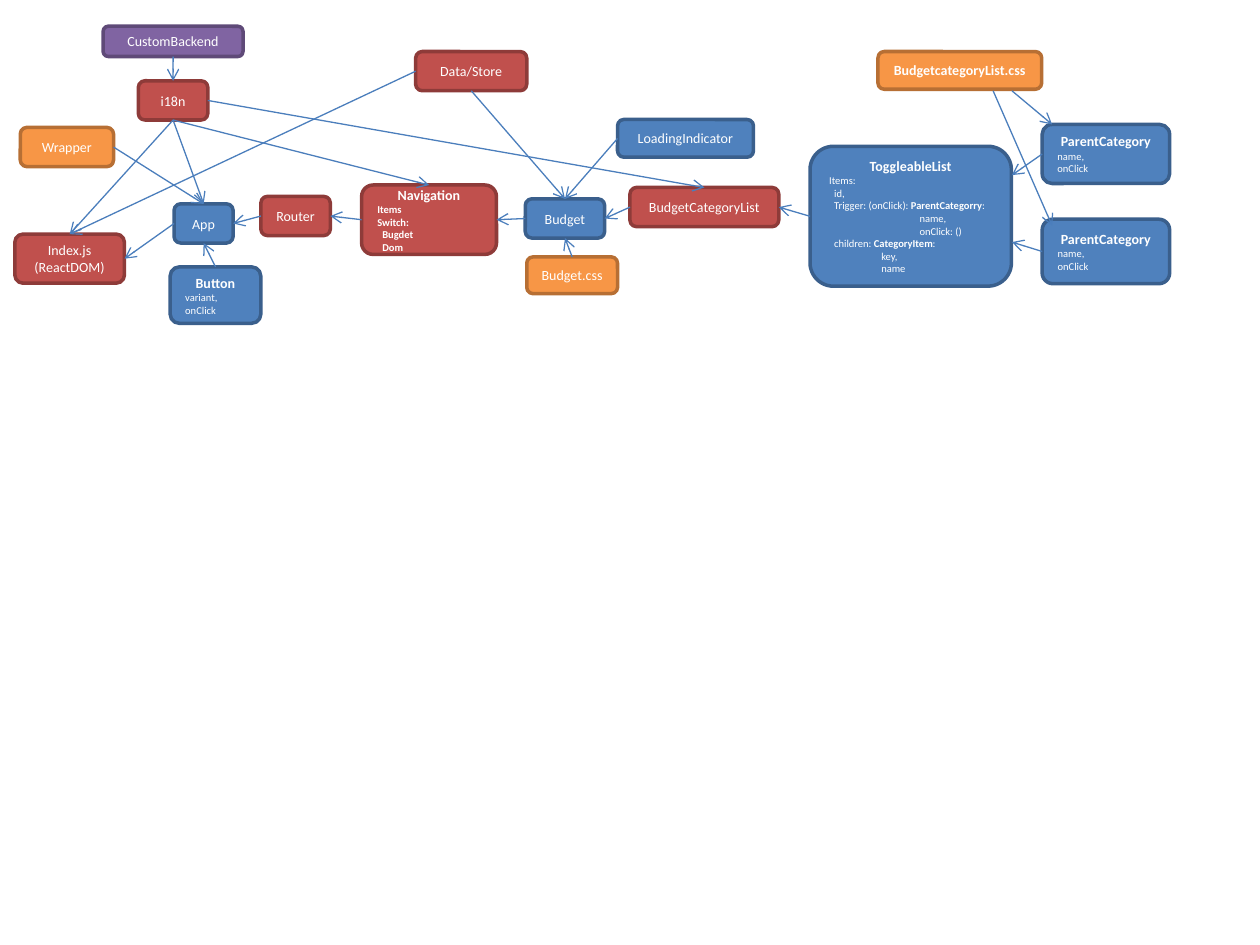
from lxml.etree import SubElement
from pptx import Presentation
from pptx.dml.color import RGBColor
from pptx.enum.shapes import MSO_CONNECTOR as Connector, MSO_SHAPE as Shape
from pptx.enum.text import MSO_ANCHOR as Anchor, PP_ALIGN as Align
from pptx.oxml.ns import qn
from pptx.util import Cm, Pt

WHITE = RGBColor(0xFF, 0xFF, 0xFF)
ARROW = RGBColor(0x4B, 0x7E, 0xBC)
# Each scheme is a fill and its outline
BLUE = RGBColor(0x4F, 0x81, 0xBD), RGBColor(0x3A, 0x5F, 0x8C)
RED = RGBColor(0xC0, 0x50, 0x4D), RGBColor(0x8E, 0x3B, 0x39)
ORANGE = RGBColor(0xF7, 0x96, 0x46), RGBColor(0xB7, 0x6F, 0x34)
PURPLE = RGBColor(0x80, 0x64, 0xA2), RGBColor(0x5F, 0x4A, 0x78)

TOP, LEFT, BOTTOM, RIGHT = range(4)

# Indents of the detail lines, in cm
STEP, CHILD, TRIGGER = 0.1, 1.05, 1.82

# Name: scheme, (left, top, width, height) in cm, title
PLAIN_BOXES = {
    "budget": (BLUE, (10.59, 4.01, 1.6, 0.79), "Budget"),
    "category list": (RED, (12.7, 3.78, 3, 0.79), "BudgetCategoryList"),
    "loading": (BLUE, (12.45, 2.41, 2.74, 0.76), "LoadingIndicator"),
    "list css": (ORANGE, (17.7, 1.04, 3.3, 0.76), "**BudgetcategoryList.css**"),
    "budget css": (ORANGE, (10.62, 5.18, 1.83, 0.74), "Budget.css"),
    "index": (RED, (0.3, 4.72, 2.21, 0.99), "Index.js\n(ReactDOM)"),
    "app": (BLUE, (3.51, 4.11, 1.19, 0.79), "App"),
    "router": (RED, (5.26, 3.96, 1.4, 0.79), "Router"),
    "wrapper": (ORANGE, (0.41, 2.57, 1.88, 0.79), "Wrapper"),
    "i18n": (RED, (2.79, 1.63, 1.4, 0.79), "i18n"),
    "backend": (PURPLE, (2.08, 0.53, 2.82, 0.61), "CustomBackend"),
    "store": (RED, (8.38, 1.04, 2.24, 0.79), "Data/Store"),
}

PARENT_PROPS = [(0, "name,"), (0, "onClick")]

# As above, with detail lines of (indent, text)
DETAILED_BOXES = {
    "toggle": (BLUE, (16.33, 2.95, 4.06, 2.82), "**ToggleableList**", [
        (0, "Items:"),
        (STEP, "id,"),
        (STEP, "Trigger: (onClick): **ParentCategorry**:"),
        (TRIGGER, "name,"),
        (TRIGGER, "onClick: ()"),
        (STEP, "children: **CategoryItem**:"),
        (CHILD, "key,"),
        (CHILD, "name"),
    ]),
    "upper parent": (BLUE, (21.01, 2.51, 2.57, 1.19), "**ParentCategory**", PARENT_PROPS),
    "lower parent": (BLUE, (21.01, 4.42, 2.57, 1.3), "**ParentCategory**", PARENT_PROPS),
    "navigation": (RED, (7.29, 3.73, 2.72, 1.4), "**Navigation**", [
        (0, "**Items**"),
        (0, "**Switch:**"),
        (STEP, "**Bugdet**"),
        (STEP, "**Dom**"),
    ]),
    "button": (BLUE, (3.43, 5.38, 1.83, 1.14), "**Button**",
               [(0, "variant,"), (0, "onClick")]),
}

# An end is (box name, side) when joined, or (x, y) in cm when free
ARROWS = [
    (("budget css", TOP), ("budget", BOTTOM)),
    ((20.4, 1.83), (21.21, 2.51)),
    ((20.02, 1.83), (21.21, 4.55)),
    (("upper parent", LEFT), (20.4, 3.53)),
    (("lower parent", LEFT), (20.4, 4.88)),
    (("toggle", LEFT), ("category list", RIGHT)),
    (("category list", LEFT), ("budget", RIGHT)),
    (("loading", LEFT), ("budget", TOP)),
    (("budget", LEFT), ("navigation", RIGHT)),
    (("app", LEFT), ("index", RIGHT)),
    (("router", LEFT), ("app", RIGHT)),
    (("navigation", LEFT), ("router", RIGHT)),
    (("wrapper", RIGHT), ("app", TOP)),
    (("i18n", BOTTOM), ("app", TOP)),
    (("i18n", BOTTOM), ("index", TOP)),
    (("i18n", BOTTOM), ("navigation", TOP)),
    (("i18n", RIGHT), ("category list", TOP)),
    (("backend", BOTTOM), ("i18n", TOP)),
    (("store", BOTTOM), ("budget", TOP)),
    (("store", LEFT), ("index", TOP)),
    (("button", TOP), ("app", BOTTOM)),
]


def write_line(para, text, size, align, indent=0):
    """Fill a paragraph; text between double asterisks is bold."""
    para.alignment = align
    if indent:
        para._p.get_or_add_pPr().set("marL", str(Cm(indent)))
    para.font.name = "Calibri"
    para.font.size = Pt(size)
    para.font.color.rgb = WHITE
    for number, part in enumerate(text.split("**")):
        if part:
            span = para.add_run()
            span.text = part
            span.font.bold = number % 2 == 1


def add_box(page, scheme, place, title, details=()):
    box = page.shapes.add_shape(Shape.ROUNDED_RECTANGLE, *map(Cm, place))
    box.shadow.inherit = False
    fill, outline = scheme
    box.fill.solid()
    box.fill.fore_color.rgb = fill
    box.line.color.rgb = outline
    box.line.width = Pt(2)
    frame = box.text_frame
    frame.word_wrap = True
    frame.vertical_anchor = Anchor.MIDDLE
    lines = [(text, 8, Align.CENTER) for text in title.split("\n")]
    lines += [(text, 6, Align.LEFT, indent) for indent, text in details]
    for number, line in enumerate(lines):
        para = frame.add_paragraph() if number else frame.paragraphs[0]
        write_line(para, *line)
    return box


def add_arrow(page, boxes, start, end):
    """Draw an arrow whose ends are joined to boxes or lie at free points."""
    points = [(0, 0) if end_point[0] in boxes else end_point for end_point in (start, end)]
    arrow = page.shapes.add_connector(
        Connector.STRAIGHT, *(Cm(value) for point in points for value in point))
    for place, join in ((start, arrow.begin_connect), (end, arrow.end_connect)):
        if place[0] in boxes:
            name, side = place
            join(boxes[name], side)
    arrow.line.color.rgb = ARROW
    arrow.line.width = Pt(0.75)
    SubElement(arrow.line._get_or_add_ln(), qn("a:tailEnd"), type="arrow")
    SubElement(arrow._element.spPr, qn("a:effectLst"))


def main():
    deck = Presentation()
    deck.slide_width, deck.slide_height = Cm(25.4), Cm(19.05)
    page = deck.slides.add_slide(deck.slide_layouts[6])
    boxes = {name: add_box(page, *content)
             for name, content in (PLAIN_BOXES | DETAILED_BOXES).items()}
    for start, end in ARROWS:
        add_arrow(page, boxes, start, end)
    deck.save("out.pptx")


if __name__ == "__main__":
    main()
